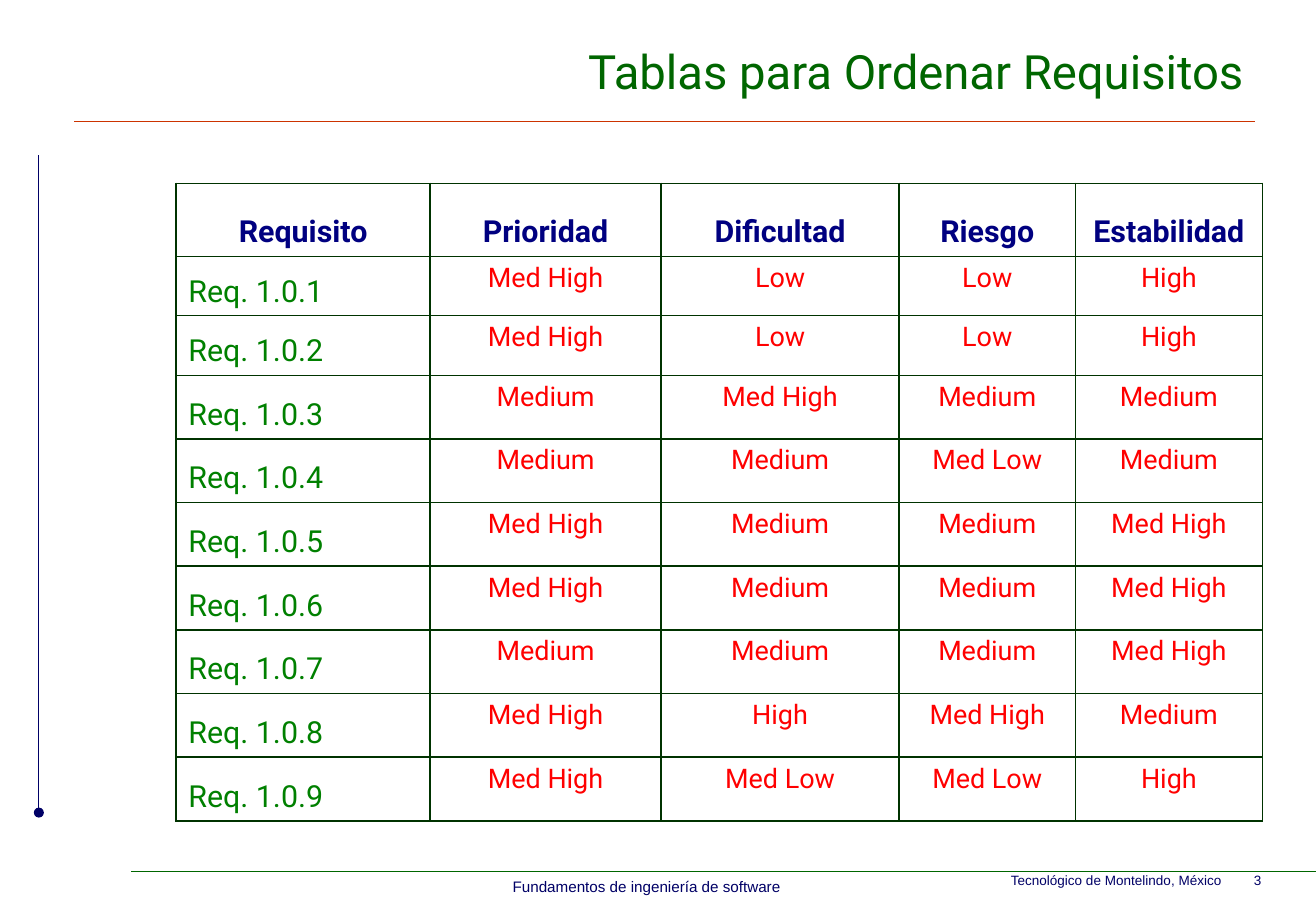
from dataclasses import dataclass
from lxml.etree import SubElement
from pptx import Presentation
from pptx.dml.color import RGBColor
from pptx.enum.shapes import MSO_CONNECTOR
from pptx.enum.text import MSO_ANCHOR, PP_ALIGN
from pptx.oxml import parse_xml
from pptx.oxml.ns import nsdecls, qn
from pptx.util import Inches, Pt


@dataclass(frozen=True)
class Theme:
    heading: str = "Roboto"
    footer: str = "Arial"
    title_color: str = "006600"
    navy: str = "000066"
    title_rule: str = "CC3300"
    header_color: str = "000080"
    requirement: str = "008000"
    rating: str = "FF0000"
    border: str = "003300"
    title_size: int = 28
    label_size: int = 18
    rating_size: int = 16
    footer_size: int = 9
    credit_size: int = 8


T = Theme()
HEADERS = ["Requisito", "Prioridad", "Dificultad", "Riesgo", "Estabilidad"]
RATINGS = [
    ["Med High", "Low", "Low", "High"],
    ["Med High", "Low", "Low", "High"],
    ["Medium", "Med High", "Medium", "Medium"],
    ["Medium", "Medium", "Med Low", "Medium"],
    ["Med High", "Medium", "Medium", "Med High"],
    ["Med High", "Medium", "Medium", "Med High"],
    ["Medium", "Medium", "Medium", "Med High"],
    ["Med High", "High", "Med High", "Medium"],
    ["Med High", "Med Low", "Med Low", "High"],
]


def write(tf, text, *, size, color, font=T.heading, bold=False,
          align=PP_ALIGN.LEFT, hanging=0):
    p = tf.paragraphs[0]
    p.alignment = align
    if hanging:
        pPr = p._p.get_or_add_pPr()
        pPr.set("marL", str(Inches(hanging)))
        pPr.set("indent", str(-Inches(hanging)))
    r = p.add_run()
    r.text = text
    r.font.size = Pt(size)
    r.font.name = font
    r.font.bold = bold
    r.font.color.rgb = RGBColor.from_string(color)


def add_text(s, box, text, anchor=MSO_ANCHOR.TOP, wrap=True, **fmt):
    tf = s.shapes.add_textbox(*map(Inches, box)).text_frame
    tf.word_wrap = wrap
    tf.vertical_anchor = anchor
    write(tf, text, **fmt)


def add_line(s, start, end, color, width, tail=None):
    points = map(Inches, (*start, *end))
    line = s.shapes.add_connector(MSO_CONNECTOR.STRAIGHT, *points)
    line.line.color.rgb = RGBColor.from_string(color)
    line.line.width = Pt(width)
    if tail:
        SubElement(line.line._ln, qn("a:tailEnd"), type=tail)
    SubElement(line._element.spPr, qn("a:effectLst"))


def set_borders(cell, color, width):
    tcPr = cell._tc.get_or_add_tcPr()
    for i, side in enumerate("LRTB"):
        tcPr.insert(i, parse_xml(
            f'<a:ln{side} {nsdecls("a")} w="{Pt(width)}"><a:solidFill>'
            f'<a:srgbClr val="{color}"/></a:solidFill></a:ln{side}>'))


def title_region(s, box):
    x, y, w, h = box
    add_text(s, box, "Tablas para Ordenar Requisitos", MSO_ANCHOR.MIDDLE,
             size=T.title_size, color=T.title_color, align=PP_ALIGN.RIGHT)
    add_line(s, (x - 0.05, y + h), (x + w, y + h), T.title_rule, 0.5)


def side_region(s, box):
    x, y, w, h = box
    add_line(s, (x, y), (x + w, y + h), T.navy, 0.75, tail="oval")


def footer_region(s, box):
    x, y, w, h = box
    add_line(s, (x, y), (x + w, y), T.title_color, 0.25)
    add_text(s, (x + 3.03, y, 2.42, h), "Fundamentos de ingeniería de software",
             wrap=False, size=T.footer_size, color=T.navy, font=T.footer,
             align=PP_ALIGN.CENTER)
    add_text(s, (x + 7.14, y - 0.04, 2.56, h), "Tecnológico de Montelindo, México\t3",
             size=T.credit_size, color=T.navy, font=T.footer)


def table_region(s, box):
    rows = [HEADERS] + [[f"Req. 1.0.{n}", *ratings]
                        for n, ratings in enumerate(RATINGS, 1)]
    table = s.shapes.add_table(len(rows), len(HEADERS), *map(Inches, box)).table
    table.first_row = table.horz_banding = False
    for col, width in zip(table.columns, [2.09, 1.9, 1.96, 1.45, 1.54]):
        col.width = Inches(width)
    top_heights = [0.6, 0.49, 0.49]
    rest = len(rows) - len(top_heights)
    heights = top_heights + [(box[3] - sum(top_heights)) / rest] * rest
    for row, height in zip(table.rows, heights):
        row.height = Inches(height)

    header = dict(size=T.label_size, color=T.header_color, bold=True,
                  align=PP_ALIGN.CENTER)
    label = dict(size=T.label_size, color=T.requirement, align=PP_ALIGN.JUSTIFY)
    rating = dict(size=T.rating_size, color=T.rating, align=PP_ALIGN.CENTER)
    for i, values in enumerate(rows):
        for j, value in enumerate(values):
            cell = table.cell(i, j)
            cell.fill.background()
            set_borders(cell, T.border, 1)
            at_edge = i == 0 or j == 0
            cell.vertical_anchor = MSO_ANCHOR.BOTTOM if at_edge else MSO_ANCHOR.TOP
            fmt = header if i == 0 else label if j == 0 else rating
            write(cell.text_frame, value, hanging=0.38, **fmt)


def build():
    prs = Presentation()
    prs.slide_width, prs.slide_height = Inches(10.83), Inches(7.5)
    s = prs.slides.add_slide(prs.slide_layouts[6])
    side_region(s, (0.32, 1.28, 0, 5.41))
    footer_region(s, (1.08, 7.17, 9.75, 0.25))
    title_region(s, (0.66, 0.17, 9.67, 0.83))
    table_region(s, (1.45, 1.51, 8.94, 5.25))
    prs.save("out.pptx")


build()
